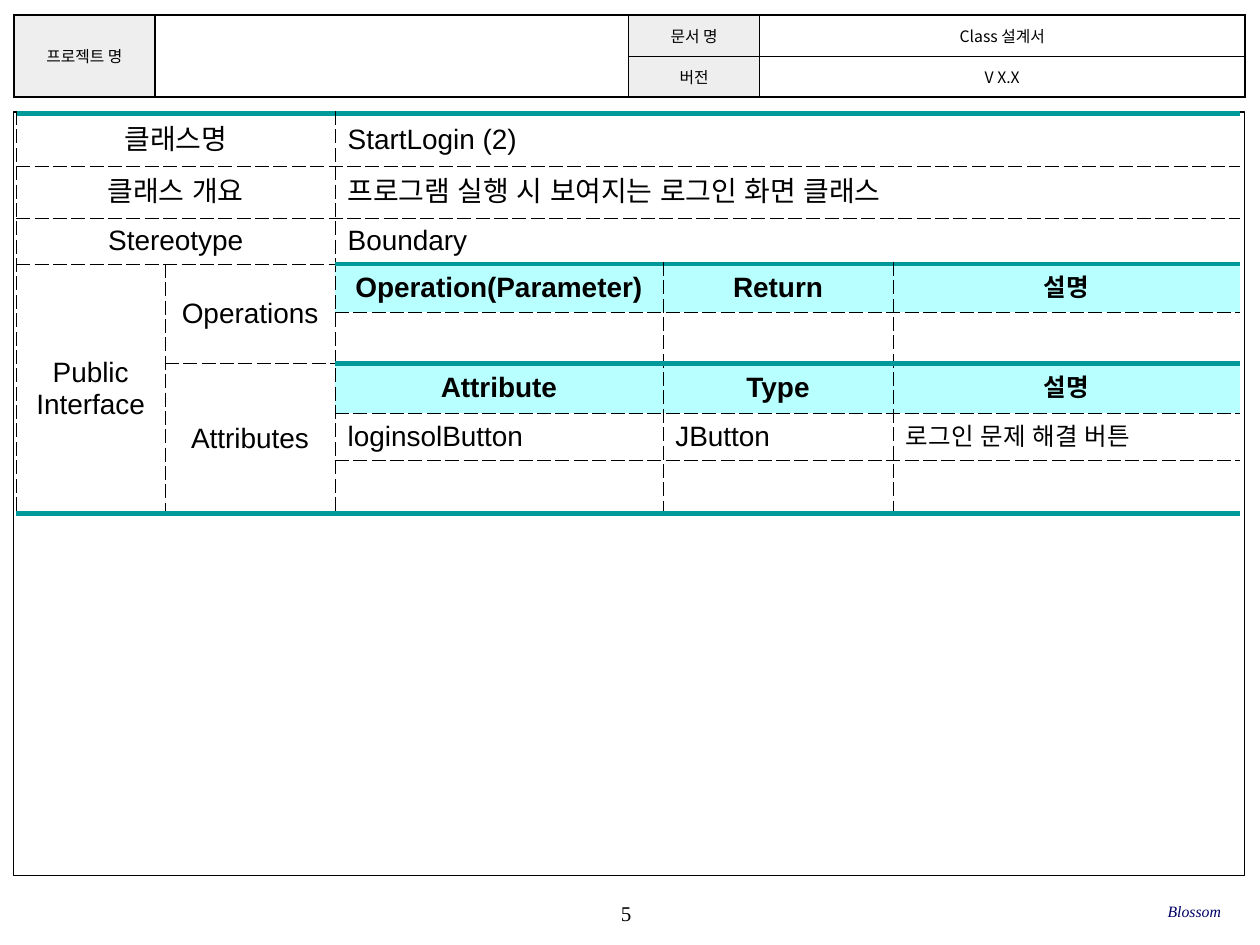
from lxml import etree
from pptx import Presentation
from pptx.dml.color import RGBColor
from pptx.enum.shapes import MSO_SHAPE
from pptx.enum.text import MSO_ANCHOR, PP_ALIGN
from pptx.oxml.ns import qn
from pptx.util import Inches, Pt

CENTER, LEFT, RIGHT = PP_ALIGN.CENTER, PP_ALIGN.LEFT, PP_ALIGN.RIGHT
MIDDLE = MSO_ANCHOR.MIDDLE
RECTANGLE = MSO_SHAPE.RECTANGLE
BLANK_LAYOUT = 6
PLAIN_TABLE = "{2D5ABB26-0587-4C30-8999-92F81FD0307C}"

COLORS = {"ink": "000000", "label": "EEEEEE", "heading": "B8FFFF",
          "rule": "009999", "footer": "000066"}
SOLID = ("ink", 1, "solid")
DASHED = ("ink", 0.25, "lgDash")
THICK = ("rule", 3, "solid")

HEADER_COLUMNS = [1.12, 3.76, 1.04, 3.85]
HEADER_ROWS = [0.33, 0.32]
HEADER_CELLS = [
    (0, 0, 2, 1, "프로젝트 명", "label"),
    (0, 1, 2, 1, "", None),
    (0, 2, 1, 1, "문서 명", "label"),
    (0, 3, 1, 1, "Class 설계서", None),
    (1, 2, 1, 1, "버전", "label"),
    (1, 3, 1, 1, "V X.X", None),
]

CLASS_COLUMNS = [1.18, 1.35, 2.6, 1.83, 2.75]
CLASS_ROWS = [0.42, 0.41, 0.35, 0.38, 0.41, 0.39, 0.38, 0.42]
SUMMARY = [("클래스명", "StartLogin (2)"),
           ("클래스 개요", "프로그램 실행 시 보여지는 로그인 화면 클래스"),
           ("Stereotype", "Boundary")]
GROUPS = [(3, 0, 5, "Public\nInterface"), (3, 1, 2, "Operations"),
          (5, 1, 3, "Attributes")]
HEADINGS = {3: ["Operation(Parameter)", "Return", "설명"],
            5: ["Attribute", "Type", "설명"]}
ATTRIBUTE = ["loginsolButton", "JButton", "로그인 문제 해결 버튼"]
DETAIL_COLUMN = 2
ATTRIBUTE_ROW = 6


def rgb(name):
    return RGBColor.from_string(COLORS[name])


def write(frame, text, size, font, color="ink", align=CENTER, bold=False, italic=False):
    frame.text = text
    for paragraph in frame.paragraphs:
        paragraph.alignment = align
        paragraph.font.name = font
        paragraph.font.size = Pt(size)
        paragraph.font.bold = bold
        paragraph.font.italic = italic
        paragraph.font.color.rgb = rgb(color)
        defaults = paragraph._p.pPr.find(qn("a:defRPr"))
        etree.SubElement(defaults, qn("a:ea"), typeface=font)


def add_line_of_text(slide, box, text, size, **style):
    frame = slide.shapes.add_textbox(*map(Inches, box)).text_frame
    frame.word_wrap = True
    frame.vertical_anchor = MIDDLE
    frame.margin_left = frame.margin_right = frame.margin_top = frame.margin_bottom = 0
    write(frame, text, size, "Times New Roman", **style)


def add_frame(slide, box):
    frame = slide.shapes.add_shape(RECTANGLE, *map(Inches, box))
    frame.shadow.inherit = False
    frame.fill.background()
    frame.line.color.rgb = rgb("ink")
    frame.line.width = Pt(0.75)


def add_grid(slide, left, top, columns, rows):
    table = slide.shapes.add_table(
        len(rows), len(columns), Inches(left), Inches(top),
        Inches(sum(columns)), Inches(sum(rows))).table
    table.first_row = table.horz_banding = False
    table._tbl.tblPr.find(qn("a:tableStyleId")).text = PLAIN_TABLE
    for column, width in zip(table.columns, columns):
        column.width = Inches(width)
    for row, height in zip(table.rows, rows):
        row.height = Inches(height)
    return table


def set_border(cell, side, border):
    properties = cell._tc.get_or_add_tcPr()
    line = etree.SubElement(properties, qn("a:ln" + side))
    if border is None:
        line.set("w", "0")
        etree.SubElement(line, qn("a:noFill"))
        return
    color, width, dash = border
    line.set("w", str(Pt(width)))
    fill = etree.SubElement(line, qn("a:solidFill"))
    etree.SubElement(fill, qn("a:srgbClr"), val=COLORS[color])
    etree.SubElement(line, qn("a:prstDash"), val=dash)


def rule_grid(table, vertical, horizontal):
    for r in range(len(table.rows)):
        for c in range(len(table.columns)):
            cell = table.cell(r, c)
            across = cell.span_width if cell.is_merge_origin else 1
            down = cell.span_height if cell.is_merge_origin else 1
            set_border(cell, "L", vertical(c))
            set_border(cell, "R", vertical(c + across))
            set_border(cell, "T", horizontal(r, c))
            set_border(cell, "B", horizontal(r + down, c))


def class_vertical(line):
    return None if line == len(CLASS_COLUMNS) else DASHED


def class_horizontal(line, column):
    outer = line in (0, len(CLASS_ROWS))
    heading = line in HEADINGS and column >= DETAIL_COLUMN
    return THICK if outer or heading else DASHED


def merge(table, row, column, down, across):
    if down * across > 1:
        table.cell(row, column).merge(table.cell(row + down - 1, column + across - 1))


def fill_cell(cell, text, size, font, fill=None, margins=(0.1, 0.05), **style):
    cell.vertical_anchor = MIDDLE
    cell.margin_left = cell.margin_right = Inches(margins[0])
    cell.margin_top = cell.margin_bottom = Inches(margins[1])
    if fill:
        cell.fill.solid()
        cell.fill.fore_color.rgb = rgb(fill)
    write(cell.text_frame, text, size, font, **style)


def add_document_header(slide):
    table = add_grid(slide, 0.11, 0.12, HEADER_COLUMNS, HEADER_ROWS)
    for row, column, down, across, *_ in HEADER_CELLS:
        merge(table, row, column, down, across)
    rule_grid(table, lambda line: SOLID, lambda line, column: SOLID)
    for row, column, _, _, text, fill in HEADER_CELLS:
        fill_cell(table.cell(row, column), text, 9, "Noto Sans CJK KR", fill, (0.04, 0.02))


def add_class_table(slide):
    table = add_grid(slide, 0.13, 0.9, CLASS_COLUMNS, CLASS_ROWS)
    for row in range(len(SUMMARY)):
        merge(table, row, 0, 1, DETAIL_COLUMN)
        merge(table, row, DETAIL_COLUMN, 1, 3)
    for row, column, down, _ in GROUPS:
        merge(table, row, column, down, 1)
    rule_grid(table, class_vertical, class_horizontal)

    for row, (label, value) in enumerate(SUMMARY):
        fill_cell(table.cell(row, 0), label, 16, "Arial")
        fill_cell(table.cell(row, DETAIL_COLUMN), value, 16, "Arial", align=LEFT)
    for row, column, _, label in GROUPS:
        fill_cell(table.cell(row, column), label, 16, "Arial")
    sizes = [16, 16, 14]
    for row, headings in HEADINGS.items():
        for i, (heading, size) in enumerate(zip(headings, sizes)):
            fill_cell(table.cell(row, DETAIL_COLUMN + i), heading, size, "Arial",
                      "heading", bold=True)
    for i, (value, size) in enumerate(zip(ATTRIBUTE, sizes)):
        fill_cell(table.cell(ATTRIBUTE_ROW, DETAIL_COLUMN + i), value, size, "Arial",
                  align=LEFT)


def main():
    deck = Presentation()
    deck.slide_width, deck.slide_height = Inches(10), Inches(7.5)
    slide = deck.slides.add_slide(deck.slide_layouts[BLANK_LAYOUT])
    add_line_of_text(slide, (3.93, 7.08, 2.08, 0.33), "5", 12)
    add_document_header(slide)
    add_frame(slide, (0.11, 0.89, 9.77, 6.06))
    add_line_of_text(slide, (6.63, 7.07, 3.06, 0.33), "Blossom", 9,
                     color="footer", align=RIGHT, italic=True)
    add_class_table(slide)
    deck.save("out.pptx")


if __name__ == "__main__":
    main()
